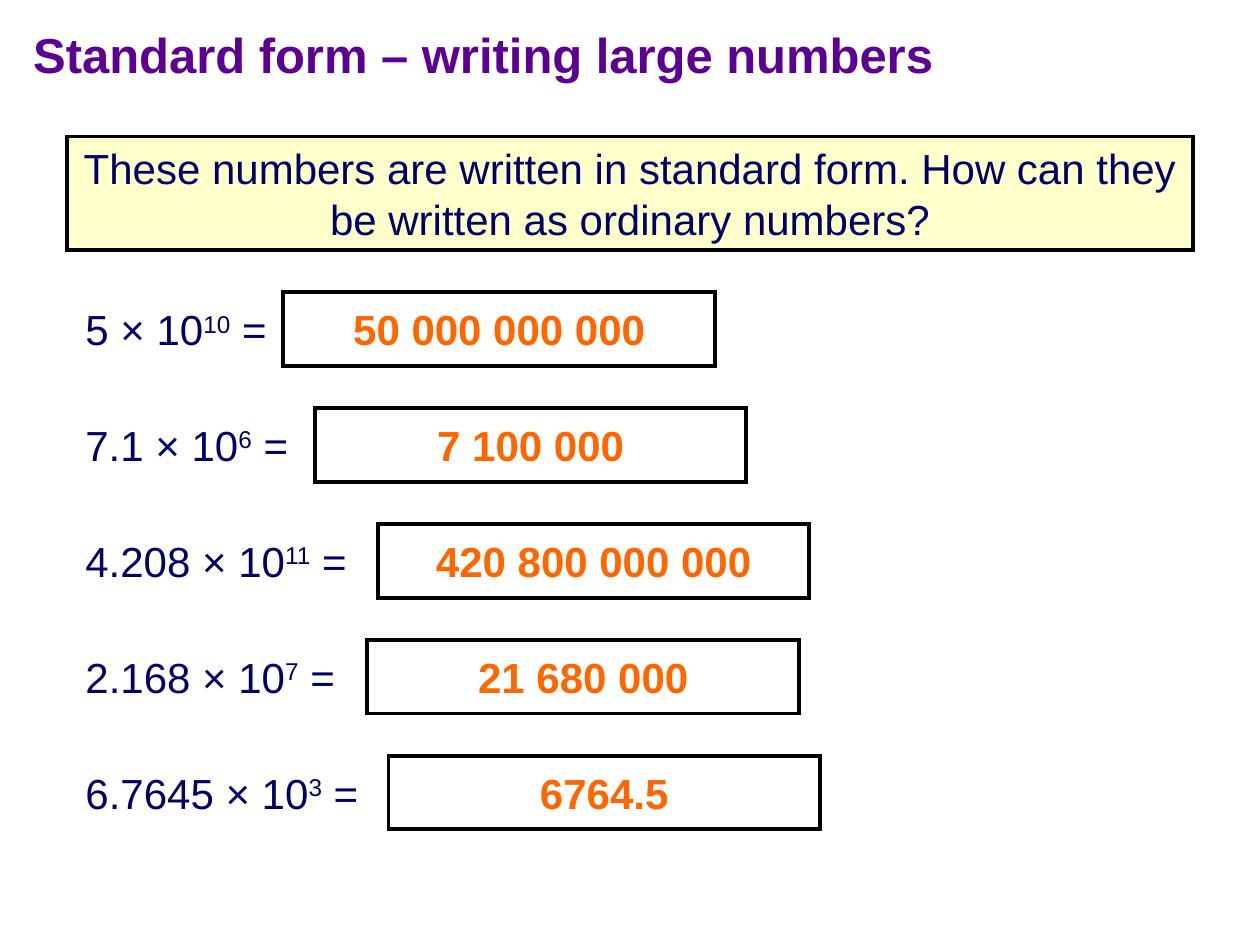
from lxml.etree import SubElement
from pptx import Presentation
from pptx.dml.color import RGBColor
from pptx.enum.shapes import MSO_SHAPE
from pptx.enum.text import MSO_ANCHOR, PP_ALIGN
from pptx.oxml.ns import qn
from pptx.util import Pt

COLOURS = {
    "title": "5B0091",
    "text": "000066",
    "answer": "FF6600",
    "line": "000000",
    "prompt": "FFFFCC",
    "paper": "FFFFFF",
}

# Mantissa, exponent, equation width, frame left, answer, answer width
ROWS = [
    ("5", "10", 118, 162, "50 000 000 000", 183),
    ("7.1", "6", 130, 180, "7 100 000", 123),
    ("4.208", "11", 164, 216, "420 800 000 000", 197),
    ("2.168", "7", 157, 210, "21 680 000", 137),
    ("6.7645", "3", 170, 222, "6764.5", 90),
]
FIRST_TOP, ROW_PITCH = 167, 66.25
FRAME_WIDTH, FRAME_HEIGHT = 246.5, 42
EQUATION_LEFT, TEXT_HEIGHT = 41.75, 36


class SlideBuilder:
    def __init__(self, page, font="Arial", size=24, line_width=2.25):
        self.page = page
        self.font = font
        self.size = size
        self.line_width = line_width

    def style(self, paragraph, colour, bold=False, size=None, align=PP_ALIGN.LEFT):
        paragraph.alignment = align
        paragraph.font.name = self.font
        paragraph.font.size = Pt(size or self.size)
        paragraph.font.bold = bold
        paragraph.font.color.rgb = RGBColor.from_string(COLOURS[colour])

    def title(self, text, left, top, width, height):
        box = self.page.shapes.title
        box.left, box.top, box.width, box.height = map(Pt, (left, top, width, height))
        box.text_frame.text = text
        box.text_frame.vertical_anchor = MSO_ANCHOR.MIDDLE
        self.style(box.text_frame.paragraphs[0], "title", bold=True, size=28)

    def rectangle(self, shapes, left, top, width, height, fill="paper", outlined=True):
        box = shapes.add_shape(
            MSO_SHAPE.RECTANGLE, Pt(left), Pt(top), Pt(width), Pt(height)
        )
        box.shadow.inherit = False
        box.fill.solid()
        box.fill.fore_color.rgb = RGBColor.from_string(COLOURS[fill])
        if outlined:
            box.line.color.rgb = RGBColor.from_string(COLOURS["line"])
            box.line.width = Pt(self.line_width)
            SubElement(box.line._get_or_add_ln(), qn("a:miter"), lim="800000")
        else:
            box.line.fill.background()
        box.text_frame.vertical_anchor = MSO_ANCHOR.TOP
        return box

    def prompt(self, text, left, top, width, height):
        box = self.rectangle(self.page.shapes, left, top, width, height, "prompt")
        box.text_frame.word_wrap = True
        box.text_frame.text = text
        self.style(box.text_frame.paragraphs[0], "text", align=PP_ALIGN.CENTER)

    def equation(self, shapes, mantissa, exponent, left, top, width):
        box = self.rectangle(shapes, left, top, width, TEXT_HEIGHT, outlined=False)
        box.text_frame.word_wrap = False
        para = box.text_frame.paragraphs[0]
        self.style(para, "text")
        for text, baseline in ((f"{mantissa} × 10", 0), (exponent, 30000), (" =", 0)):
            span = para.add_run()
            span.text = text
            if baseline:
                span._r.get_or_add_rPr().set("baseline", str(baseline))

    def answer(self, text, left, top, width):
        box = self.page.shapes.add_textbox(
            Pt(left), Pt(top), Pt(width), Pt(TEXT_HEIGHT)
        )
        box.text_frame.word_wrap = False
        box.text_frame.text = text
        para = box.text_frame.paragraphs[0]
        self.style(para, "answer", bold=True, align=PP_ALIGN.CENTER)

    def row(self, top, mantissa, exponent, width, frame_left, answer, answer_width):
        """Group an equation with its frame and centre the answer in the frame."""
        text_top = top + (FRAME_HEIGHT - TEXT_HEIGHT) / 2
        group = self.page.shapes.add_group_shape()
        self.equation(group.shapes, mantissa, exponent, EQUATION_LEFT, text_top, width)
        self.rectangle(group.shapes, frame_left, top, FRAME_WIDTH, FRAME_HEIGHT)
        answer_left = frame_left + (FRAME_WIDTH - answer_width) / 2
        self.answer(answer, answer_left, text_top, answer_width)


def main():
    deck = Presentation()
    deck.slide_width, deck.slide_height = Pt(720), Pt(540)
    builder = SlideBuilder(deck.slides.add_slide(deck.slide_layouts[5]))
    builder.title("Standard form – writing large numbers", 11.75, 12, 572, 38)
    builder.prompt(
        "These numbers are written in standard form. "
        "How can they be written as ordinary numbers?",
        38.25, 78, 643.5, 65,
    )
    for index, row in enumerate(ROWS):
        builder.row(FIRST_TOP + index * ROW_PITCH, *row)
    deck.save("out.pptx")


if __name__ == "__main__":
    main()
